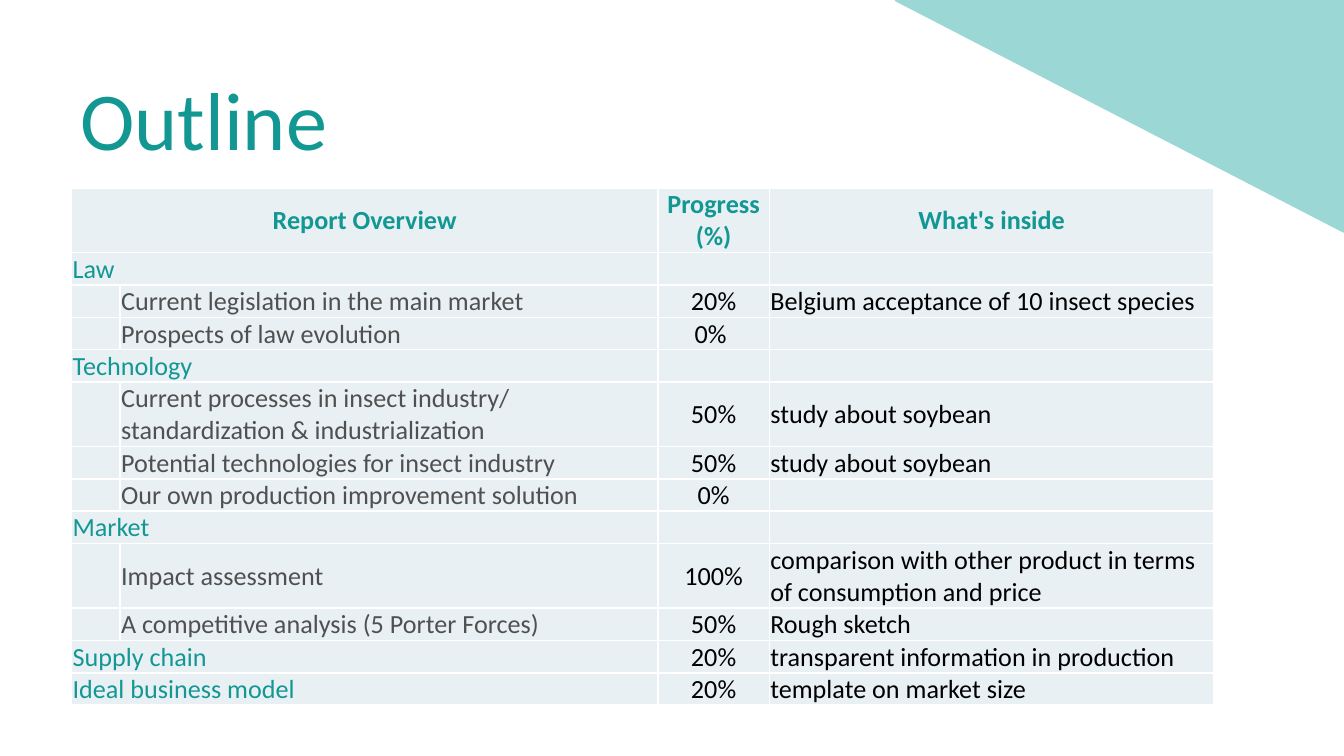
from pptx import Presentation
from pptx.dml.color import RGBColor
from pptx.enum import shapes, text
from pptx.oxml import parse_xml
from pptx.oxml.ns import nsdecls
from pptx.util import Pt

TEAL = RGBColor(0x12, 0x97, 0x93)
AQUA = RGBColor(0x9B, 0xD7, 0xD5)
PALE = RGBColor(0xE8, 0xF0, 0xF4)
GREY = RGBColor(0x50, 0x50, 0x50)
BLACK = RGBColor(0, 0, 0)
WHITE = RGBColor(0xFF, 0xFF, 0xFF)
FONT = "Calibri"
LINE_HEIGHT = 17.3
COLUMNS = (26, 288, 59.8, 238.2)

HEADER = ("Report Overview", "Progress (%)", "What's inside")
# Section, its own progress and contents, then its topics
SECTIONS = [
    ("Law", "", "", [
        ("Current legislation in the main market", "20%",
         "Belgium acceptance of 10 insect species"),
        ("Prospects of law evolution", "0% ", ""),
    ]),
    ("Technology", "", "", [
        ("Current processes in insect industry/ standardization & industrialization",
         "50%", "study about soybean"),
        ("Potential technologies for insect industry", "50%", "study about soybean"),
        ("Our own production improvement solution", "0%", ""),
    ]),
    ("Market", "", "", [
        ("Impact assessment", "100%",
         "comparison with other product in terms of consumption and price"),
        ("A competitive analysis (5 Porter Forces)", "50%", "Rough sketch"),
    ]),
    ("Supply chain", "20%", "transparent information in production", []),
    ("Ideal business model", "20%", "template on market size", []),
]
TWO_LINE_ROWS = (0, 5, 9)


def add_corner(s, x, y, w, h):
    sp = s.shapes.add_shape(shapes.MSO_SHAPE.RIGHT_TRIANGLE, Pt(x), Pt(y), Pt(w), Pt(h))
    sp.rotation = 180
    sp.shadow.inherit = False
    sp.fill.solid()
    sp.fill.fore_color.rgb = AQUA
    sp.line.color.rgb = AQUA
    sp.line.width = Pt(1.5)


def add_title(s, x, y, w, h, title):
    tf = s.shapes.add_textbox(Pt(x), Pt(y), Pt(w), Pt(h)).text_frame
    tf.word_wrap = True
    tf.vertical_anchor = text.MSO_ANCHOR.MIDDLE
    p = tf.paragraphs[0]
    p.text = title
    p.font.name, p.font.size, p.font.color.rgb = FONT, Pt(44), TEAL


def add_borders(cell):
    tc_pr = cell._tc.get_or_add_tcPr()
    for i, side in enumerate(("lnL", "lnR", "lnT", "lnB")):
        tc_pr.insert(i, parse_xml(
            f'<a:{side} {nsdecls("a")} w="{Pt(1)}"><a:solidFill>'
            f'<a:srgbClr val="{WHITE}"/></a:solidFill></a:{side}>'))


def style_cell(cell):
    cell.fill.solid()
    cell.fill.fore_color.rgb = PALE
    cell.vertical_anchor = text.MSO_ANCHOR.MIDDLE
    cell.margin_left = cell.margin_right = cell.margin_top = Pt(0.5)
    cell.margin_bottom = 0
    add_borders(cell)
    font = cell.text_frame.paragraphs[0].font
    font.name, font.size = FONT, Pt(14)


def write(cell, words, color, centred=False, bold=False):
    p = cell.text_frame.paragraphs[0]
    if words:
        p.text = words
    p.font.color.rgb = color
    p.font.bold = bold
    if centred:
        p.alignment = text.PP_ALIGN.CENTER


def add_outline_table(s, x, y):
    rows = [(True, *HEADER)]
    for section, progress, inside, topics in SECTIONS:
        rows.append((True, section, progress, inside))
        rows += [(False, *topic) for topic in topics]
    heights = [LINE_HEIGHT * (2 if i in TWO_LINE_ROWS else 1) for i in range(len(rows))]
    table = s.shapes.add_table(len(rows), len(COLUMNS), Pt(x), Pt(y),
                               Pt(sum(COLUMNS)), Pt(sum(heights))).table
    for column, width in zip(table.columns, COLUMNS):
        column.width = Pt(width)
    for i, (spans, name, progress, inside) in enumerate(rows):
        head = i == 0
        table.rows[i].height = Pt(heights[i])
        cells = list(table.rows[i].cells)
        for cell in cells:
            style_cell(cell)
        if spans:
            cells[0].merge(cells[1])
        write(cells[0 if spans else 1], name, TEAL if spans else GREY, head, head)
        write(cells[2], progress, TEAL if head else BLACK, True, head)
        write(cells[3], inside, TEAL if head else BLACK, head, head)


def main():
    prs = Presentation()
    prs.slide_width, prs.slide_height = Pt(720), Pt(405)
    s = prs.slides.add_slide(prs.slide_layouts[6])
    add_title(s, 36, 18, 648, 90, "Outline")
    add_corner(s, 480, 0, 240, 124)
    add_outline_table(s, 38.4, 100.8)
    prs.save("out.pptx")


if __name__ == "__main__":
    main()
